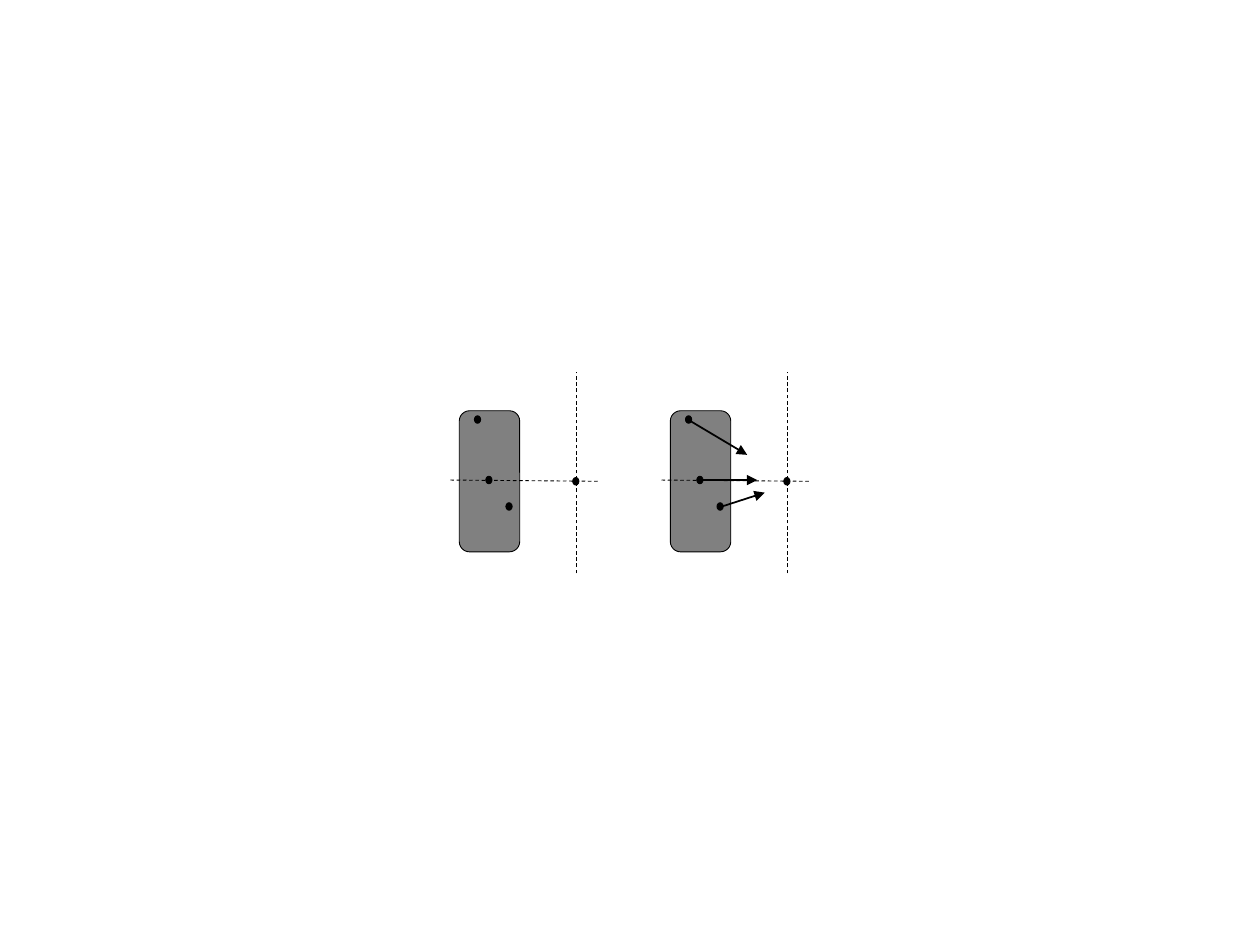
from lxml import etree
from pptx import Presentation
from pptx.dml.color import RGBColor
from pptx.enum.dml import MSO_LINE
from pptx.enum.shapes import MSO_CONNECTOR, MSO_SHAPE
from pptx.oxml.ns import qn
from pptx.util import Inches, Pt

STRAIGHT = MSO_CONNECTOR.STRAIGHT
OVAL, ROUNDED = MSO_SHAPE.OVAL, MSO_SHAPE.ROUNDED_RECTANGLE
DASH = MSO_LINE.DASH
BLACK, GRAY = RGBColor(0, 0, 0), RGBColor(0x80, 0x80, 0x80)

prs = Presentation()
prs.slide_width, prs.slide_height = Inches(10), Inches(7.5)
s = prs.slides.add_slide(prs.slide_layouts[6])


def add_shape(kind, x, y, w, h, fill):
    """Add a filled shape with a thin black outline."""
    sp = s.shapes.add_shape(kind, Inches(x), Inches(y), Inches(w), Inches(h))
    sp.shadow.inherit = False
    sp.fill.solid()
    sp.fill.fore_color.rgb = fill
    sp.line.color.rgb = BLACK
    sp.line.width = Pt(0.5)
    return sp


def add_line(x1, y1, x2, y2, arrow=False):
    """Add a thin dashed axis, or a solid arrow."""
    ln = s.shapes.add_connector(STRAIGHT, Inches(x1), Inches(y1), Inches(x2), Inches(y2))
    ln.line.color.rgb = BLACK
    ln.line.width = Pt(1 if arrow else 0.5)
    if arrow:
        etree.SubElement(ln.line._get_or_add_ln(), qn("a:tailEnd"), type="triangle")
    else:
        ln.line.dash_style = DASH
    etree.SubElement(ln._element.spPr, qn("a:effectLst"))


# Offsets are measured from the left end of each horizontal axis
POINTS = [(0.19, 3.3), (0.28, 3.78), (0.44, 3.99), (0.97, 3.79)]
ARROWS = [(0.21, 3.33, 0.68, 3.61), (0.28, 3.81, 0.76, 3.81), (0.48, 4.02, 0.82, 3.91)]

for left, arrows in [(3.575, []), (5.25, ARROWS)]:
    add_line(left + 1, 4.55, left + 1, 2.95)
    body = add_shape(ROUNDED, left + 0.07, 3.26, 0.48, 1.12, GRAY)
    body.adjustments[0] = 0.17
    add_line(left, 3.81, left + 1.17, 3.82)
    for x, y in POINTS:
        add_shape(OVAL, left + x, y, 0.05, 0.06, BLACK)
    for x1, y1, x2, y2 in arrows:
        add_line(left + x1, y1, left + x2, y2, arrow=True)

prs.save("out.pptx")
